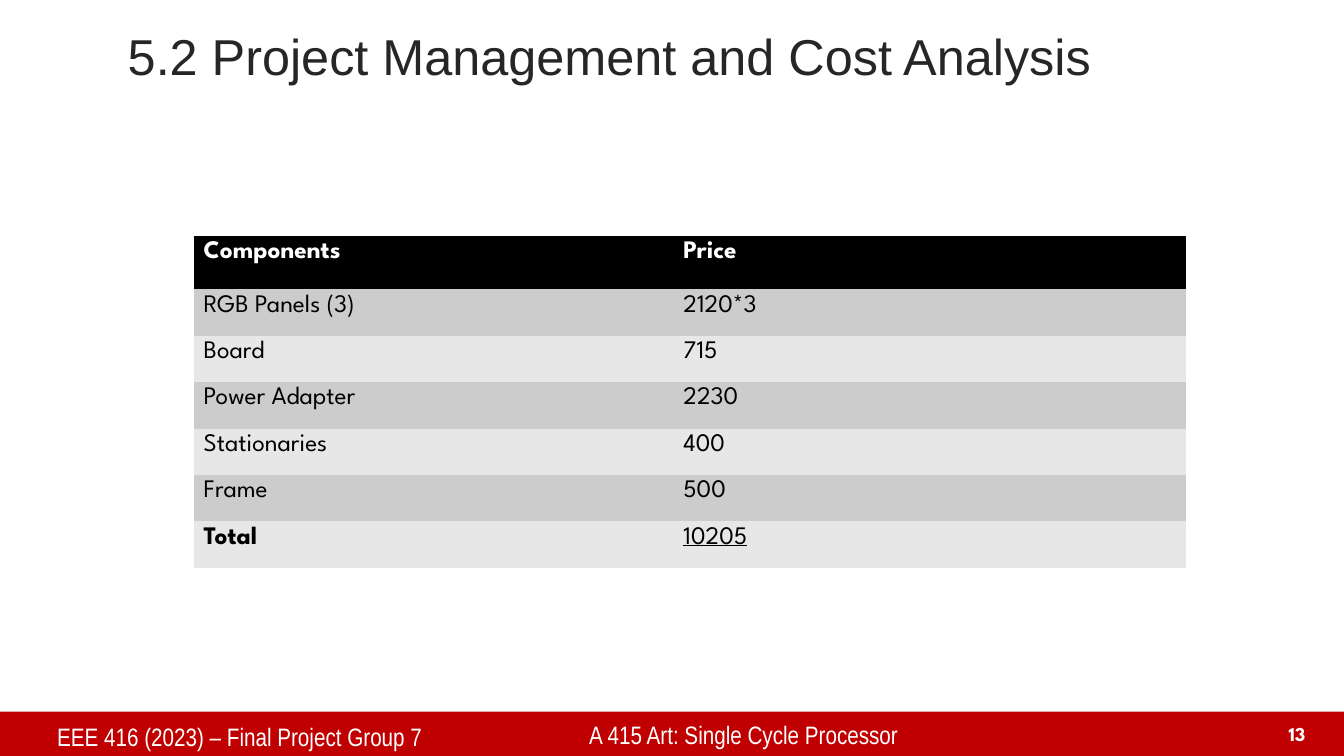
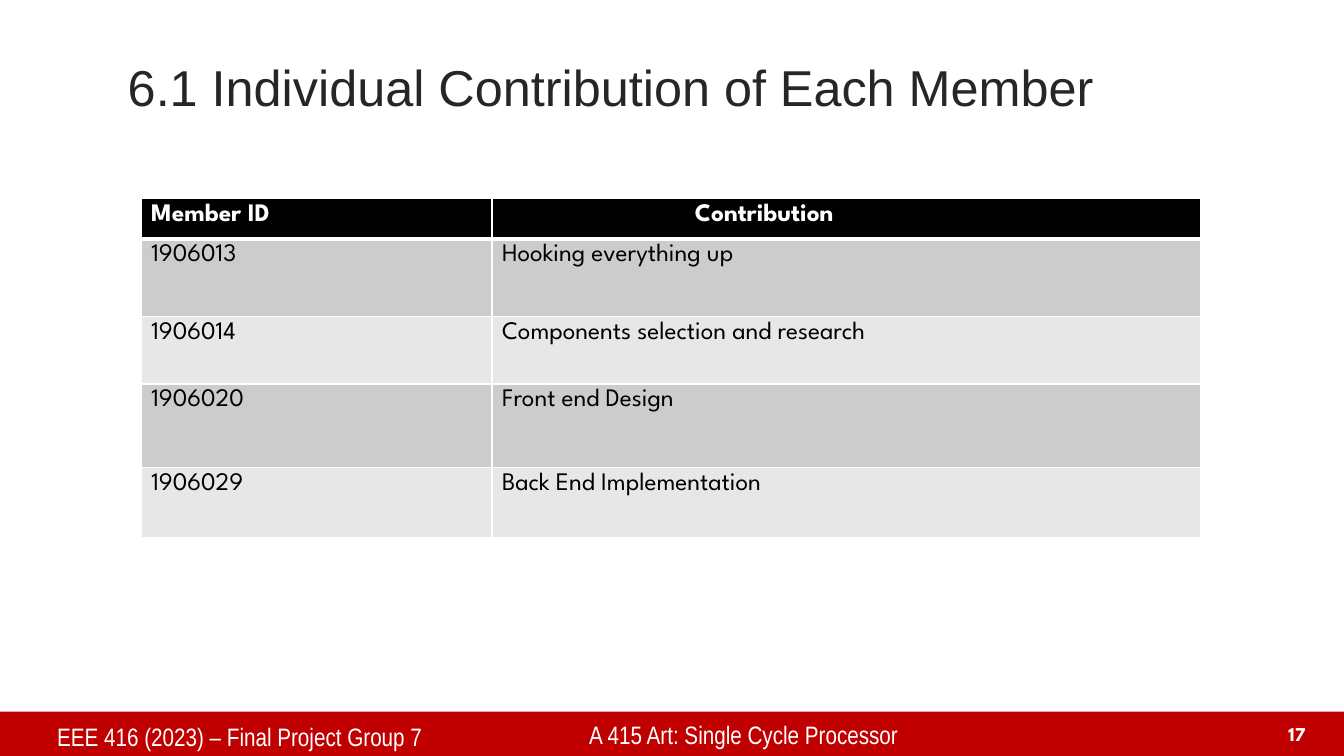
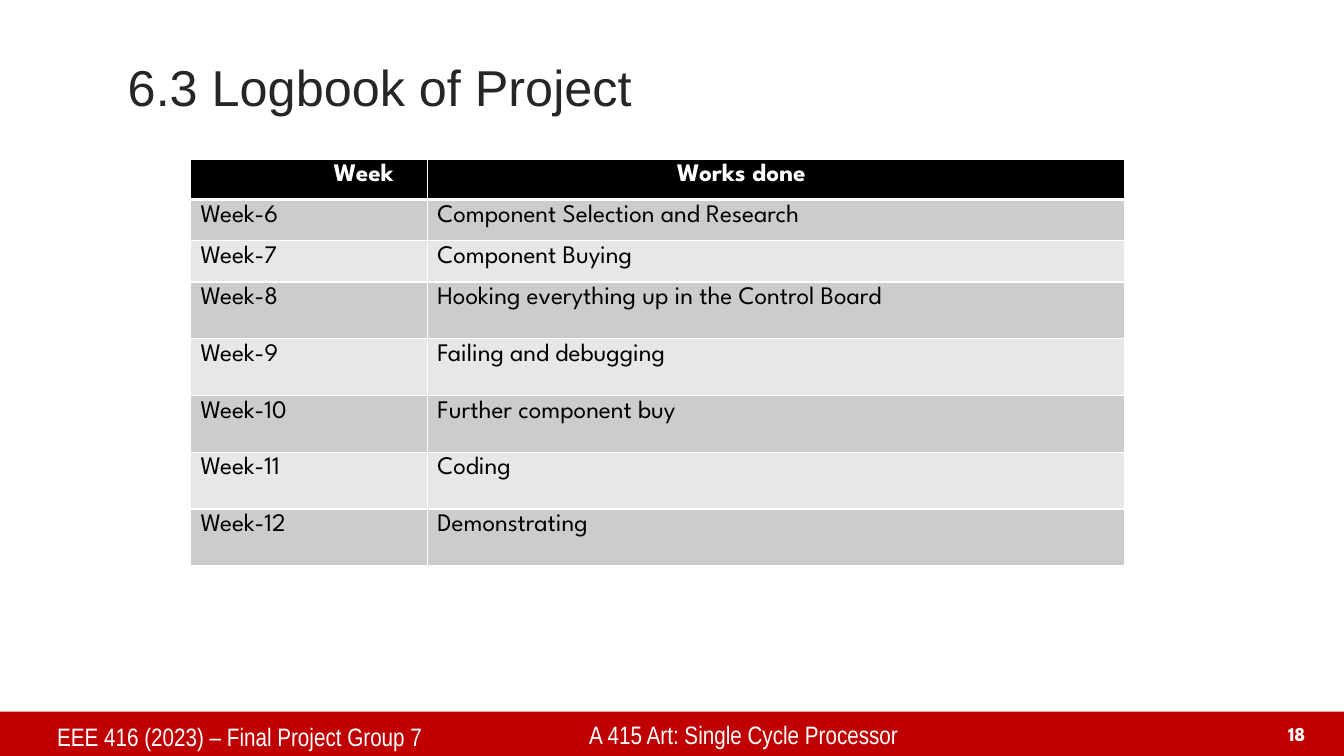
from lxml import etree
from pptx import Presentation
from pptx.dml.color import RGBColor
from pptx.enum.shapes import MSO_SHAPE
from pptx.enum.text import MSO_ANCHOR, PP_ALIGN
from pptx.oxml.ns import qn
from pptx.util import Cm, Pt

RECTANGLE = MSO_SHAPE.RECTANGLE
TOP, MIDDLE, BOTTOM = MSO_ANCHOR.TOP, MSO_ANCHOR.MIDDLE, MSO_ANCHOR.BOTTOM
LEFT, RIGHT = PP_ALIGN.LEFT, PP_ALIGN.RIGHT

RED = RGBColor(0xC0, 0x00, 0x00)
WHITE = RGBColor(0xFF, 0xFF, 0xFF)
BLACK = RGBColor(0x00, 0x00, 0x00)
CHARCOAL = RGBColor(0x26, 0x26, 0x26)
DARK_BAND = RGBColor(0xCC, 0xCC, 0xCC)
LIGHT_BAND = RGBColor(0xE7, 0xE7, 0xE7)

TITLE_FONT = "Arial"
FOOTER_FONT = "Arial Narrow"
TABLE_FONT = "League Spartan"
PLAIN_TABLE_STYLE = "{2D5ABB26-0587-4C30-8999-92F81FD0307C}"
COURSE = "EEE 416 (2023) – Final Project Group 7"
PROJECT = "A 415 Art: Single Cycle Processor"


class Deck:
    """Holds the presentation, its style and the current page."""

    def __init__(self):
        self.presentation = Presentation()
        self.presentation.slide_width = Cm(33.87)
        self.presentation.slide_height = Cm(19.05)
        self.page = None

    def new_page(self, title, number, title_top=1.27):
        blank = self.presentation.slide_layouts[6]
        self.page = self.presentation.slides.add_slide(blank)
        self.footer_band()
        title_box = self.text(title, (2.97, title_top, 27.94, 2.03), TITLE_FONT,
                              36, CHARCOAL, anchor=MIDDLE)
        title_box.text_frame.paragraphs[0].line_spacing = 0.9
        self.text(str(number), (31.7, 18.06, 1.45, 0.86), TABLE_FONT, 14, WHITE,
                  bold=True, align=RIGHT, anchor=BOTTOM)
        self.text(COURSE, (1.19, 18.06, 13.41, 1.04), FOOTER_FONT, 18, WHITE)
        self.text(PROJECT, (14.6, 18.01, 17.09, 1.04), FOOTER_FONT, 18, WHITE)

    def footer_band(self):
        band = self.page.shapes.add_shape(RECTANGLE, 0, Cm(17.93), Cm(33.87), Cm(1.12))
        band.shadow.inherit = False
        band.fill.solid()
        band.fill.fore_color.rgb = RED
        band.line.fill.background()

    def text(self, words, place, font, size, color, bold=False, align=LEFT, anchor=TOP):
        box = self.page.shapes.add_textbox(*(Cm(length) for length in place))
        box.text_frame.word_wrap = True
        box.text_frame.vertical_anchor = anchor
        para = box.text_frame.paragraphs[0]
        para.alignment = align
        self.span(para, words, font, size, color, bold)
        return box

    def span(self, para, words, font, size, color, bold=False, underline=False):
        span = para.add_run()
        span.text = words
        span.font.name = font
        span.font.size = Pt(size)
        span.font.color.rgb = color
        span.font.bold = bold
        if underline:
            span.font.underline = True

    def table(self, place, widths, heights, rows, header_indents=None,
              ruled=True, has_total=False):
        """Draw a banded table; header_indents are left margins of the header cells."""
        frame = self.page.shapes.add_table(
            len(rows), len(widths), *(Cm(length) for length in place),
            Cm(sum(widths)), Cm(sum(heights)))
        for style in frame._element.iter(qn("a:tableStyleId")):
            style.text = PLAIN_TABLE_STYLE
        table = frame.table
        for column, width in zip(table.columns, widths):
            column.width = Cm(width)
        for row, height in zip(table.rows, heights):
            row.height = Cm(height)
        for row_index, row in enumerate(rows):
            is_header = row_index == 0
            is_total = has_total and row_index == len(rows) - 1
            if is_header:
                fill = BLACK
            else:
                fill = DARK_BAND if row_index % 2 else LIGHT_BAND
            for column_index, words in enumerate(row):
                cell = table.cell(row_index, column_index)
                if is_header and header_indents:
                    cell.margin_left = Cm(header_indents[column_index])
                if ruled:
                    self.rule_cell(cell, top=3 if row_index == 1 else 1,
                                   bottom=3 if is_header else 1)
                cell.fill.solid()
                cell.fill.fore_color.rgb = fill
                self.span(cell.text_frame.paragraphs[0], words, TABLE_FONT, 18,
                          WHITE if is_header else BLACK,
                          bold=is_header or (is_total and column_index == 0),
                          underline=is_total and column_index > 0)

    def rule_cell(self, cell, top, bottom):
        """Give a cell white borders, with widths in points."""
        properties = cell._tc.get_or_add_tcPr()
        for side, width in (("L", 1), ("R", 1), ("T", top), ("B", bottom)):
            line = etree.SubElement(properties, qn("a:ln" + side), w=str(Pt(width)))
            paint = etree.SubElement(line, qn("a:solidFill"))
            etree.SubElement(paint, qn("a:srgbClr"), val=str(WHITE))


def main():
    deck = Deck()

    deck.new_page("5.2 Project Management and Cost Analysis", 13, title_top=0.48)
    deck.table((4.88, 5.94), [12.09, 12.93], [1.35] + [1.17] * 6, [
        ("Components", "Price"),
        ("RGB Panels (3)", "2120*3"),
        ("Board", "715"),
        ("Power Adapter", "2230"),
        ("Stationaries", "400"),
        ("Frame", "500"),
        ("Total", "10205"),
    ], ruled=False, has_total=True)

    deck.new_page("6.1 Individual Contribution of Each Member", 17)
    deck.table((3.56, 5), [8.84, 17.86], [0.79, 1.96, 1.7, 2.11, 1.75], [
        ("Member ID", "Contribution"),
        ("1906013", "Hooking everything up"),
        ("1906014", "Components selection and research"),
        ("1906020", "Front end Design"),
        ("1906029", "Back End Implementation"),
    ], header_indents=[0.25, 5.11])

    deck.new_page("6.3 Logbook of Project", 18)
    deck.table((4.8, 4.01), [5.97, 17.58], [0.81] + [1.04] * 2 + [1.43] * 5, [
        ("Week", "Works done"),
        ("Week-6", "Component Selection and Research"),
        ("Week-7", "Component Buying"),
        ("Week-8", "Hooking everything up in the Control Board"),
        ("Week-9", "Failing and debugging"),
        ("Week-10", "Further component buy"),
        ("Week-11", "Coding"),
        ("Week-12", "Demonstrating"),
    ], header_indents=[3.61, 6.29])

    deck.presentation.save("out.pptx")


if __name__ == "__main__":
    main()
